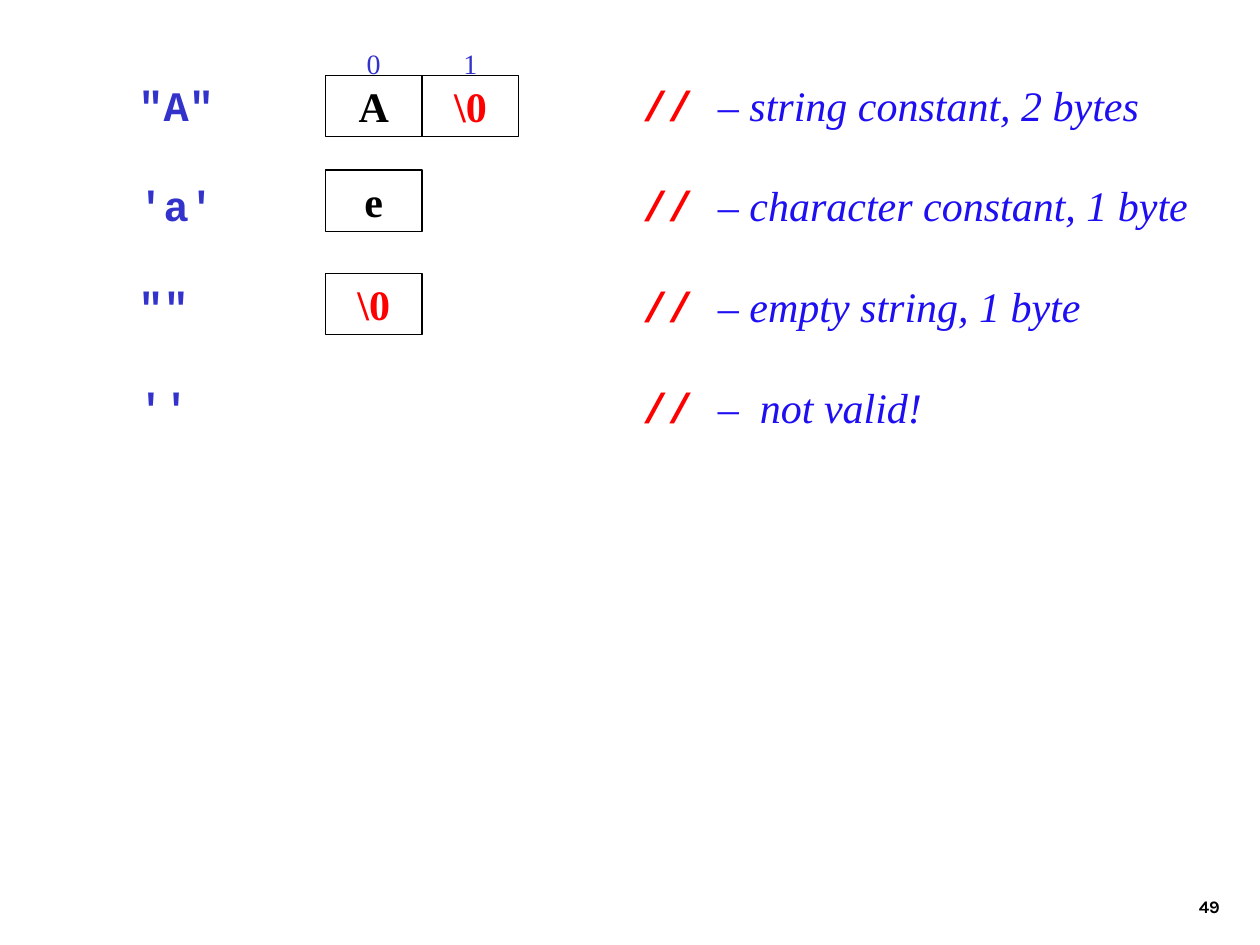
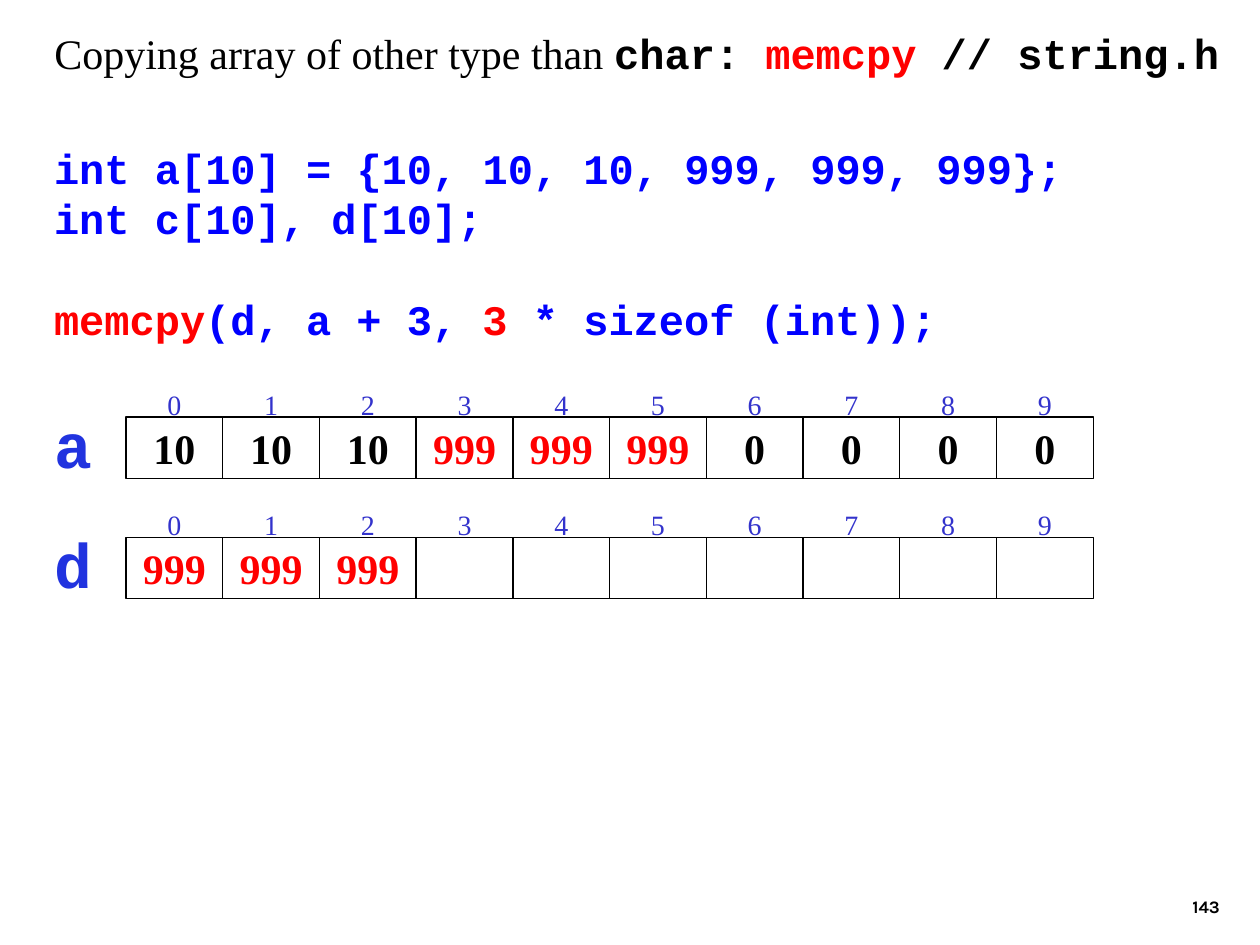
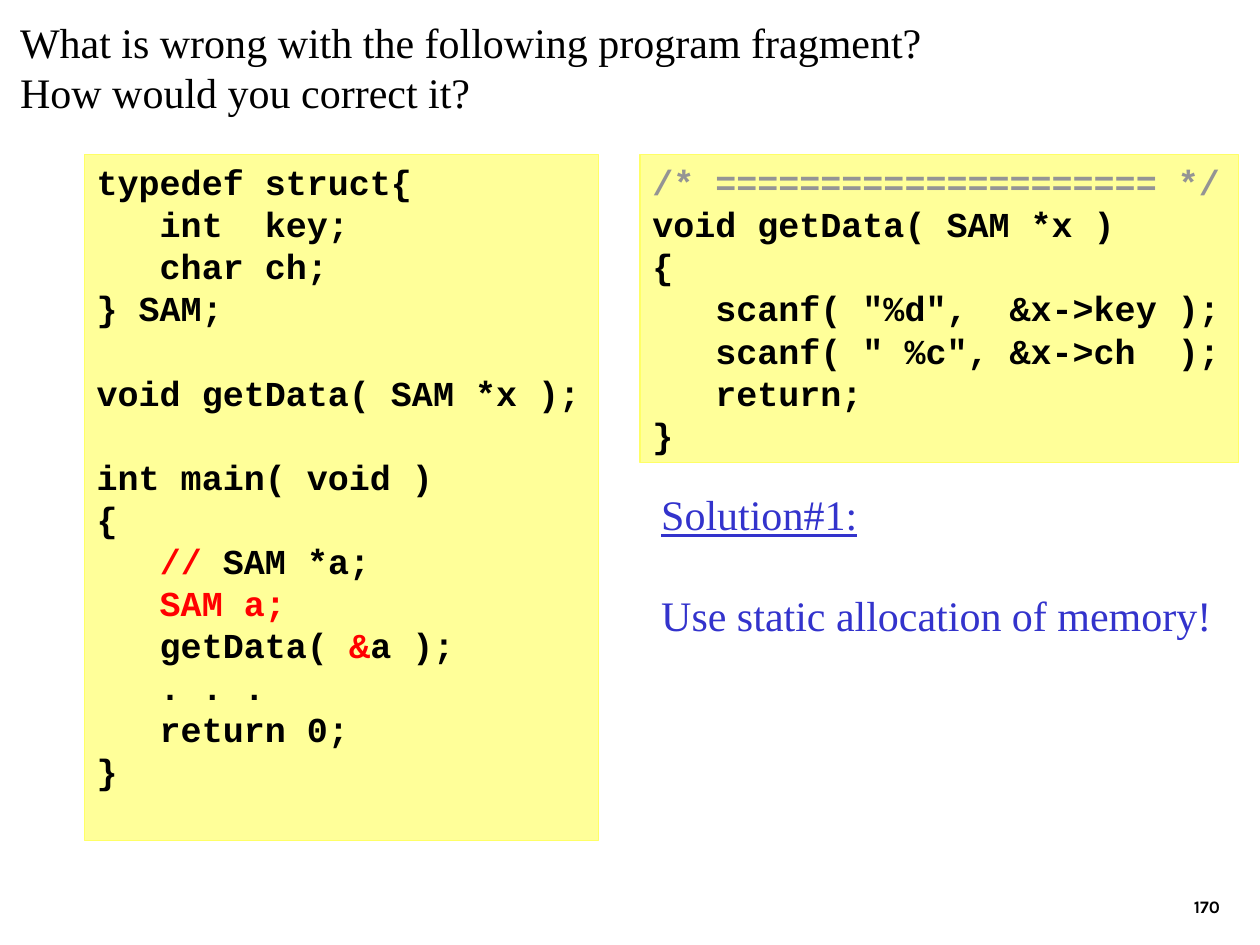
"""Build three slides on strings, array copying and struct allocation in C."""
import collections

import pptx
import pptx.dml.color
import pptx.enum.shapes
import pptx.enum.text
import pptx.oxml
import pptx.oxml.ns
import pptx.util

Cm = pptx.util.Cm
Pt = pptx.util.Pt
Align = pptx.enum.text.PP_ALIGN
Anchor = pptx.enum.text.MSO_ANCHOR
Style = collections.namedtuple("Style", "font size hue bold italic under",
                               defaults=(True, False, False))


class Theme:
    serif, mono, sans = "Times New Roman", "Courier New", "Karla"
    black, red, blue, navy = "000000", "FF0000", "0000FF", "3333CC"
    paper, edge = "FFFF99", "FFFF66"
    pitch = 1.2
    title = Style(serif, 24, black, False)
    head = Style(mono, 24, black)
    alert = Style(mono, 24, red)
    code = Style(mono, 24, blue)
    quote = Style(mono, 24, navy)
    remark = Style(serif, 24, "1E0EF2", False, True)
    value = Style(serif, 24, black)
    hot = Style(serif, 24, red)
    index = Style(serif, 16, navy, False)
    label = Style(mono, 36, "2133DF")
    small = Style(mono, 20, black)
    fix = Style(mono, 20, red)
    faint = Style(mono, 20, "949494")
    answer = Style(serif, 24, navy, False)
    lead = Style(serif, 24, navy, False, False, True)
    page = Style(sans, 10, black)


def place(slide, left, top, width, height, line=None, fill=None):
    """Add a text box, or a rectangle when a line colour is given."""
    area = Cm(left), Cm(top), Cm(width), Cm(height)
    if line is None:
        return slide.shapes.add_textbox(*area)
    shape = slide.shapes.add_shape(pptx.enum.shapes.MSO_SHAPE.RECTANGLE, *area)
    shape.shadow.inherit = False
    shape.line.color.rgb = pptx.dml.color.RGBColor.from_string(line)
    shape.line.width = Pt(0.75)
    if fill:
        shape.fill.solid()
        shape.fill.fore_color.rgb = pptx.dml.color.RGBColor.from_string(fill)
    else:
        shape.fill.background()
    return shape


def write(shape, base, rows, align=Align.LEFT, anchor=Anchor.TOP, stops=(), kind="l"):
    """Write rows of styled runs; an empty row becomes space before the next."""
    frame = shape.text_frame
    frame.word_wrap = True
    frame.auto_size = pptx.enum.text.MSO_AUTO_SIZE.NONE
    frame.vertical_anchor = anchor
    para, gap = None, False
    for row in rows:
        if not row:
            gap = True
            continue
        para = frame.add_paragraph() if para else frame.paragraphs[0]
        para.alignment = align
        para.line_spacing = Pt(base.size * Theme.pitch)
        para.space_before = Pt(base.size * Theme.pitch if gap else 0)
        gap = False
        if stops:
            tabs = pptx.oxml.parse_xml(f"<a:tabLst {pptx.oxml.ns.nsdecls('a')}/>")
            for stop in stops:
                tab = tabs.makeelement(pptx.oxml.ns.qn("a:tab"),
                                       {"pos": str(Cm(stop)), "algn": kind})
                tabs.append(tab)
            para._p.get_or_add_pPr().append(tabs)
        for text, style in [(row, base)] if isinstance(row, str) else row:
            run = para.add_run()
            run.text = text
            font = run.font
            font.name, font.size = style.font, Pt(style.size)
            font.bold, font.italic, font.underline = style.bold, style.italic, style.under
            font.color.rgb = pptx.dml.color.RGBColor.from_string(style.hue)


T = Theme
deck = pptx.Presentation()
deck.slide_width, deck.slide_height = Cm(25.4), Cm(19.05)
bare, titled = deck.slide_layouts[6], deck.slide_layouts[5]

slides = []
for layout, page in ((bare, "49"), (titled, "143"), (titled, "170")):
    slide = deck.slides.add_slide(layout)
    write(place(slide, 19.56, 17.35, 5.28, 1.27), T.page, [page],
          Align.RIGHT, Anchor.BOTTOM)
    slides.append(slide)
chars, arrays, struct = slides

titles = (
    (arrays, 0.84, 0.43, 24.4, 1.27, [[
        ("Copying array of other type than ", T.title), ("char: ", T.head),
        ("memcpy", T.alert), (" // string.h", T.head)]]),
    (struct, 0.15, 0.2, 21.44, 2.29, [
        "What is wrong with the following program fragment?",
        "How would you correct it?"]),
)
for slide, left, top, width, height, rows in titles:
    title = slide.shapes.title
    title.left, title.top, title.width, title.height = map(Cm, (left, top, width, height))
    write(title, T.title, rows)

rows = []
for sample, note in (('"A"', "– string constant, 2 bytes"),
                     ("'a'", "– character constant, 1 byte"),
                     ('""', "– empty string, 1 byte"),
                     ("''", "–  not valid!")):
    rows += [[(sample + "\t", T.quote), ("// ", T.alert), (note, T.remark)], ""]
write(place(chars, 2.54, 1.47, 22.23, 7.37), T.quote, rows, stops=[10.16])

write(place(arrays, 0.84, 2.74, 22.66, 6.35), T.code, [
    "int a[10] = {10, 10, 10, 999, 999, 999};",
    "int c[10], d[10];",
    "",
    [("memcpy", T.alert), ("(d, a + 3, ", T.code), ("3", T.alert),
     (" * sizeof (int));", T.code)],
])

wide, high, inset = 1.95, 1.24, 0.25
strips = (
    (chars, 6.56, 1.52, "", ["A", "\\0"], True),
    (chars, 6.56, 3.43, "", ["e"], False),
    (chars, 6.56, 5.51, "", ["\\0"], False),
    (arrays, 2.54, 8.41, "a", ["10"] * 3 + ["999"] * 3 + ["0"] * 4, True),
    (arrays, 2.54, 10.83, "d", ["999"] * 3 + [""] * 7, True),
)
for slide, left, top, name, values, marked in strips:
    count = len(values)
    if marked:
        marks = "".join(f"\t{n}" for n in range(count))
        stops = [wide * (n + 0.5) - inset for n in range(count)]
        write(place(slide, left, top - 0.87, wide * count, high), T.index, [marks],
              anchor=Anchor.MIDDLE, stops=stops, kind="ctr")
    for n, value in enumerate(values):
        cell = place(slide, left + n * wide, top, wide, high, T.black)
        style = T.hot if value in ("999", "\\0") else T.value
        write(cell, style, [value], Align.CENTER, Anchor.MIDDLE)
    if name:
        write(place(slide, left - 1.7, top - 0.36, 1.27, 1.78), T.label, [name], Align.RIGHT)

write(place(struct, 1.7, 3.12, 10.36, 13.82, T.edge, T.paper), T.small, [
    "typedef struct{",
    "   int  key;",
    "   char ch;",
    "} SAM;",
    "",
    "void getData( SAM *x );",
    "",
    "int main( void )",
    "{",
    [("   ", T.small), ("//", T.fix), (" SAM *a;", T.small)],
    [("   SAM a;", T.fix)],
    [("   getData(", T.small), (" &", T.fix), ("a );", T.small)],
    "   . . .",
    "   return 0;",
    "}",
])
write(place(struct, 12.9, 3.12, 12.07, 6.2, T.edge, T.paper), T.small, [
    [("/* ===================== */", T.faint)],
    "void getData( SAM *x )",
    "{",
    '   scanf( "%d",  &x->key );',
    '   scanf( " %c", &x->ch  );',
    "   return;",
    "}",
])
write(place(struct, 13.08, 9.73, 11.8, 3.3), T.answer, [
    [("Solution#1:", T.lead)],
    "",
    "Use static allocation of memory!",
])

deck.save("out.pptx")
